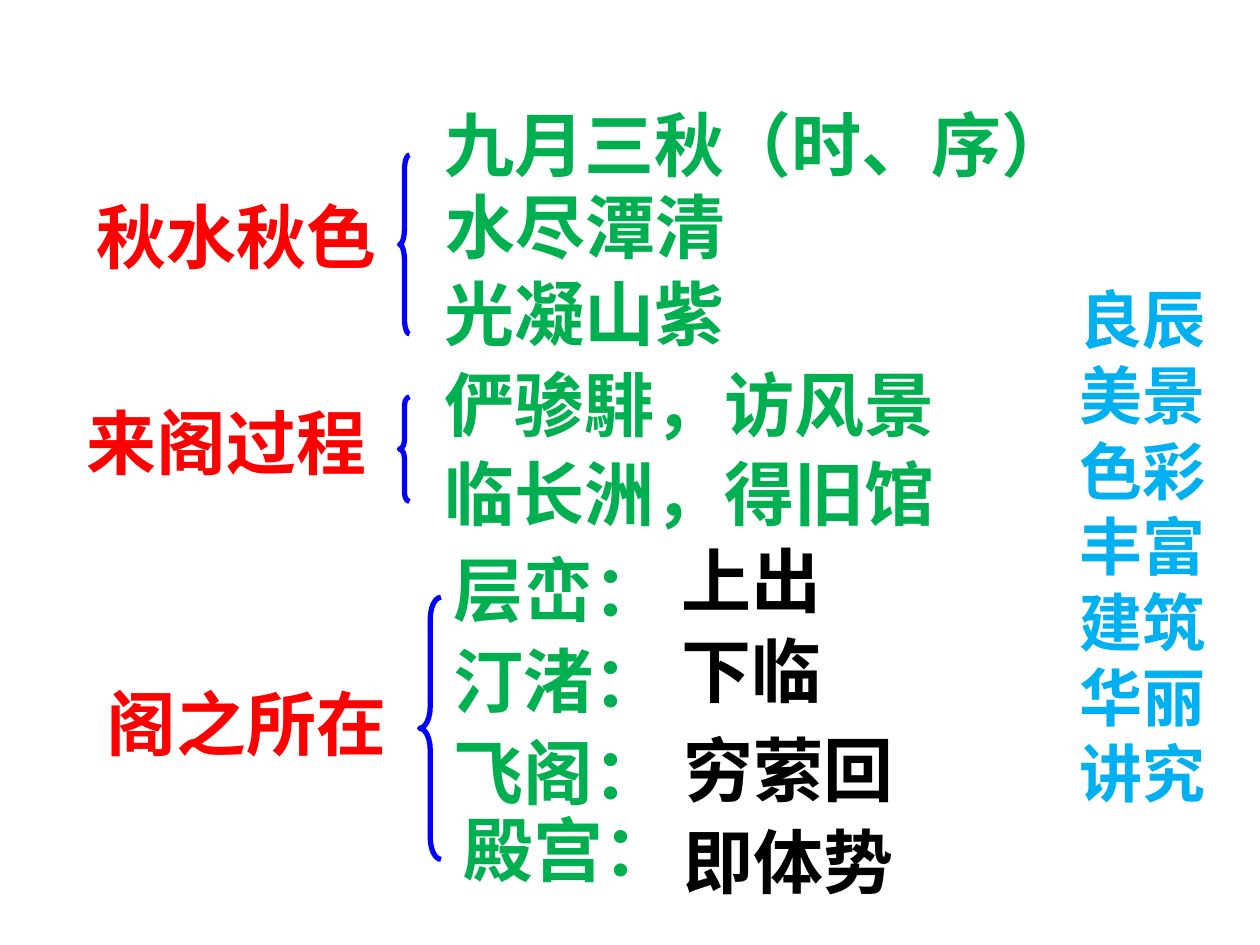
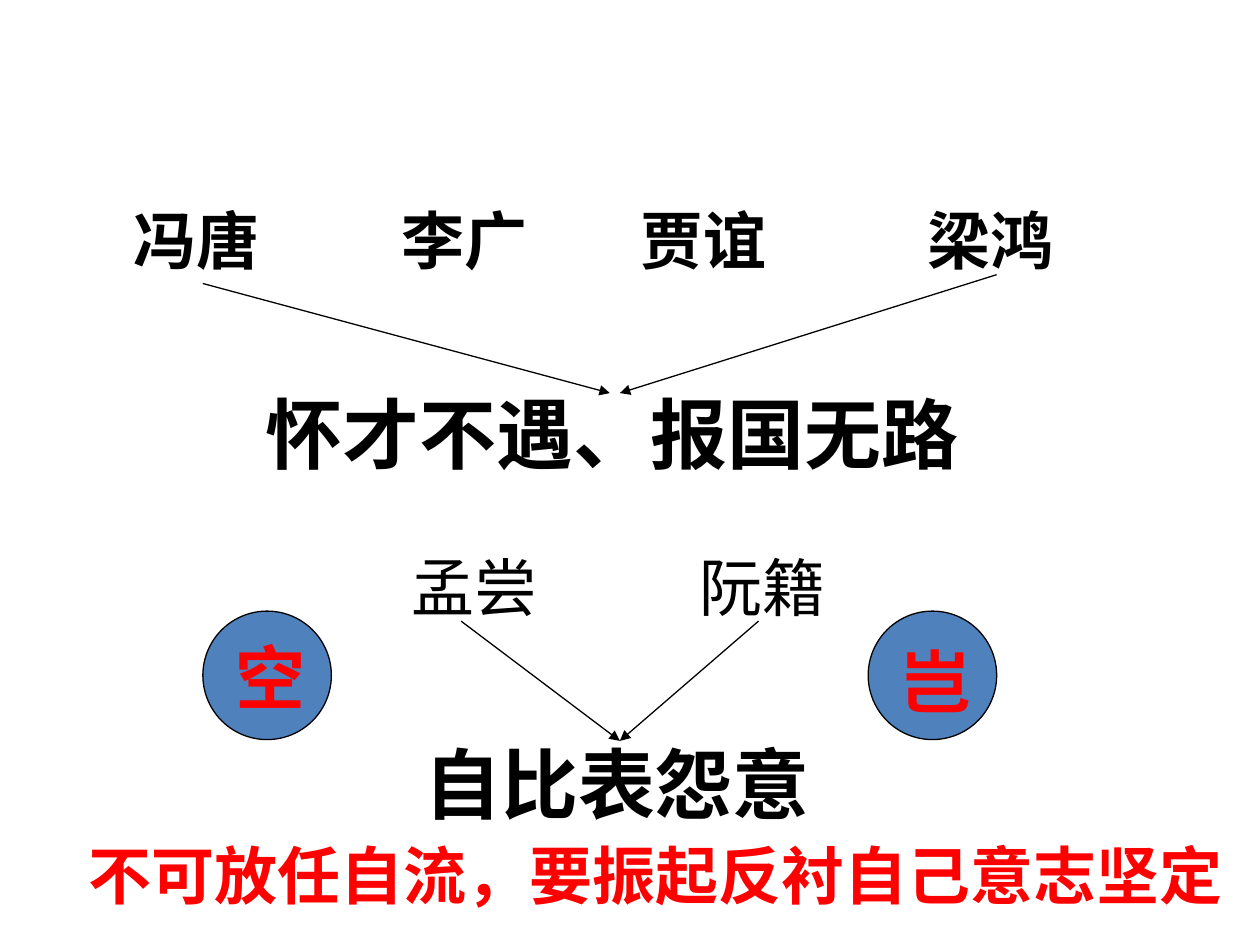
from dataclasses import dataclass

from lxml import etree
from pptx import Presentation
from pptx.dml.color import RGBColor
from pptx.enum.lang import MSO_LANGUAGE_ID
from pptx.enum.shapes import MSO_CONNECTOR, MSO_SHAPE
from pptx.enum.text import MSO_ANCHOR, PP_ALIGN
from pptx.oxml.ns import qn
from pptx.util import Inches, Pt

STRAIGHT = MSO_CONNECTOR.STRAIGHT
BRACE, OVAL = MSO_SHAPE.LEFT_BRACE, MSO_SHAPE.OVAL
TOP, MIDDLE = MSO_ANCHOR.TOP, MSO_ANCHOR.MIDDLE
LEFT, CENTER = PP_ALIGN.LEFT, PP_ALIGN.CENTER
CHINESE = MSO_LANGUAGE_ID.SIMPLIFIED_CHINESE


@dataclass(frozen=True)
class Theme:
    red: str = "FF0000"
    green: str = "00B050"
    sky: str = "00B0F0"
    blue: str = "0000FF"
    disc: str = "4F81BD"
    black: str = "000000"
    font: str = "Calibri"
    name_font: str = "Noto Sans CJK SC"
    small: int = 36
    normal: int = 40
    large: int = 44
    thin: float = 0.75
    thick: float = 3


T = Theme()


def rgb(value):
    return RGBColor.from_string(value)


def add_text(slide, box, text, size=T.normal, color=T.black, bold=True,
             font=T.font, align=LEFT, anchor=TOP, inset=True):
    sp = slide.shapes.add_textbox(*map(Inches, box))
    tf = sp.text_frame
    tf.word_wrap = False
    tf.vertical_anchor = anchor
    if not inset:
        tf.margin_left = tf.margin_right = tf.margin_top = tf.margin_bottom = 0
    for i, line in enumerate(text.split("\n")):
        p = tf.add_paragraph() if i else tf.paragraphs[0]
        p.alignment = align
        r = p.add_run()
        r.text = line
        r.font.name, r.font.size, r.font.bold = font, Pt(size), bold
        r.font.color.rgb = rgb(color)
        r.font.language_id = CHINESE


def add_shape(slide, kind, box, line, width, fill=None):
    sp = slide.shapes.add_shape(kind, *map(Inches, box))
    sp.shadow.inherit = False
    if fill:
        sp.fill.solid()
        sp.fill.fore_color.rgb = rgb(fill)
    else:
        sp.fill.background()
    sp.line.color.rgb = rgb(line)
    sp.line.width = Pt(width)
    return sp


def add_arrow(slide, start, end):
    c = slide.shapes.add_connector(STRAIGHT, *map(Inches, (*start, *end)))
    c.line.color.rgb = rgb(T.black)
    c.line.width = Pt(T.thin)
    sp_pr = c._element.spPr
    etree.SubElement(sp_pr.find(qn("a:ln")), qn("a:tailEnd"), type="triangle")
    etree.SubElement(sp_pr, qn("a:effectLst"))


def braced_topic(slide, box, topic, topic_at, notes):
    x, y, w, h = box
    brace = add_shape(slide, BRACE, box, T.blue, T.thick)
    brace.adjustments[0] = h / w / 12
    dx, dy = topic_at
    add_text(slide, (x + dx, y + dy, 2.58, 0.77), topic, color=T.red)
    for dx, dy, text, color in notes:
        width = 0.3 + len(text) * 0.56
        add_text(slide, (x + dx, y + dy, width, 0.77), text, color=color)


def people_to_meaning(slide, box, people, bold, meaning, meaning_at, arrows):
    x, y, w, h = box
    for dx, name in people:
        add_text(slide, (x + dx, y, 1, 0.7), name, T.small, bold=bold,
                 font=T.name_font, align=CENTER, anchor=MIDDLE, inset=False)
    dx, dy = meaning_at
    add_text(slide, (x + dx, y + dy, w, 0.83), meaning, T.large)
    for (x1, y1), x2 in arrows:
        add_arrow(slide, (x + x1, y + y1), (x + x2, y + h))


def key_word(slide, box, word, drop):
    x, y, w, h = box
    add_shape(slide, OVAL, box, T.black, T.thin, T.disc)
    add_text(slide, (x + 0.16, y + drop, 0.76, 0.77), word, color=T.red)


def scenery_slide(prs):
    s = prs.slides.add_slide(prs.slide_layouts[6])
    braced_topic(s, (3.17, 1.23, 0.08, 1.42), "秋水秋色", (-2.5, 0.26), [
        (0.26, -0.47, "九月三秋", T.green),
        (2.46, -0.47, "（时、序）", T.green),
        (0.27, 0.18, "水尽潭清", T.green),
        (0.26, 0.87, "光凝山紫", T.green)])
    braced_topic(s, (3.17, 3.15, 0.08, 0.83), "来阁过程", (-2.58, -0.03), [
        (0.26, -0.33, "俨骖騑，访风景", T.green),
        (0.26, 0.38, "临长洲，得旧馆", T.green)])
    braced_topic(s, (3.33, 4.74, 0.17, 2.08), "阁之所在", (-2.58, 0.61), [
        (0.17, -0.45, "层峦：", T.green), (1.98, -0.52, "上出", T.black),
        (0.17, 0.27, "汀渚：", T.green), (1.98, 0.19, "下临", T.black),
        (0.17, 1.0, "飞阁：", T.green), (2.0, 0.98, "穷萦回", T.black),
        (0.25, 1.61, "殿宫：", T.green), (2.0, 1.71, "即体势", T.black)])
    add_text(s, (8.47, 2.18, 1.22, 4.34),
             "良辰\n美景\n色彩\n丰富\n建筑\n华丽\n讲究", T.small, T.sky)


def allusion_slide(prs):
    s = prs.slides.add_slide(prs.slide_layouts[6])
    people_to_meaning(
        s, (1.06, 1.55, 6, 1.57),
        [(0, "冯唐"), (2.13, "李广"), (4.02, "贾谊"), (6.3, "梁鸿")], True,
        "怀才不遇、报国无路", (0.95, 1.47),
        [((0.55, 0.7), 3.78), ((6.85, 0.63), 3.86)])
    people_to_meaning(
        s, (3.27, 4.3, 3.5, 1.58),
        [(0, "孟尝"), (2.28, "阮籍")], False,
        "自比表怨意", (0, 1.5),
        [((0.39, 0.63), 1.65), ((2.75, 0.63), 1.65)])
    key_word(s, (1.61, 4.85, 1.02, 1.02), "空", 0.14)
    key_word(s, (6.89, 4.85, 1.02, 1.02), "岂", 0.17)
    add_text(s, (0.6, 6.59, 9.32, 0.71),
             "不可放任自流，要振起反衬自己意志坚定", T.small, T.red)


def main():
    prs = Presentation()
    prs.slide_width, prs.slide_height = Inches(10), Inches(7.5)
    scenery_slide(prs)
    allusion_slide(prs)
    prs.save("out.pptx")


if __name__ == "__main__":
    main()
